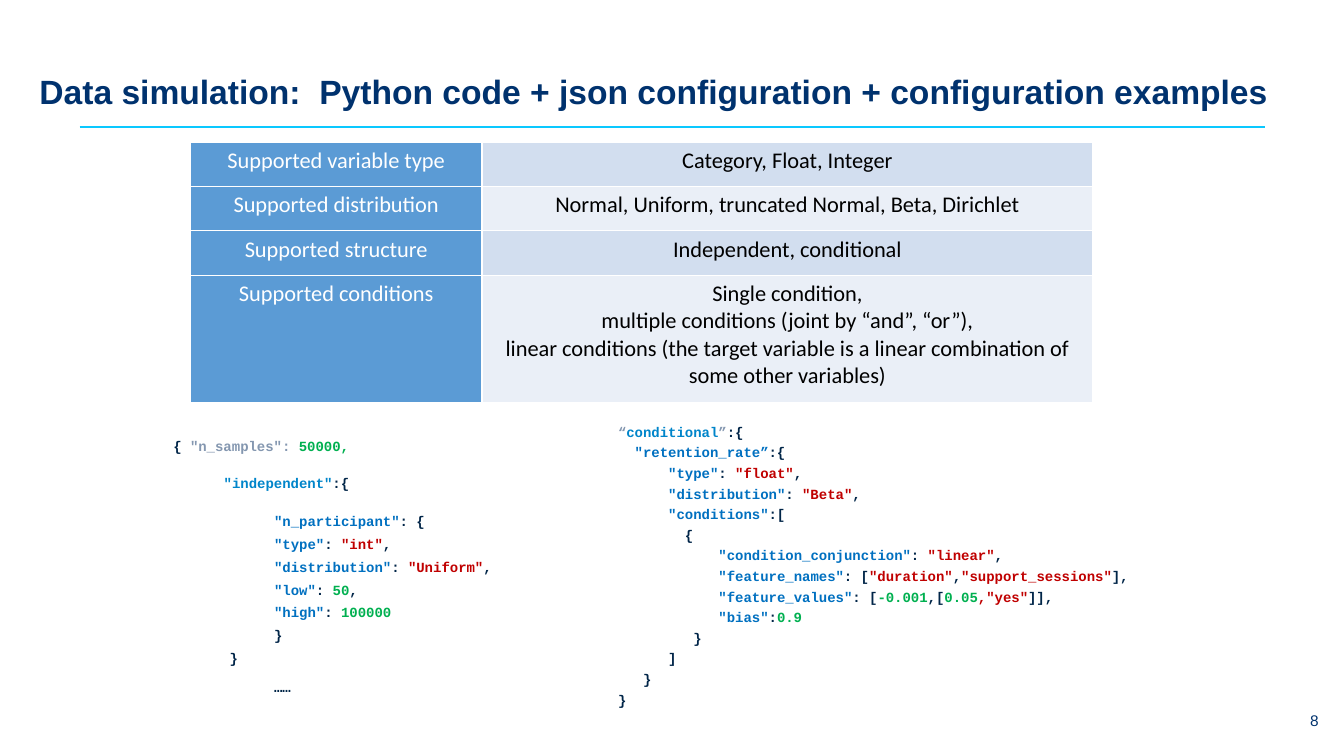
from lxml.etree import SubElement
from pptx import Presentation
from pptx.dml.color import RGBColor
from pptx.enum.shapes import MSO_CONNECTOR as Connector
from pptx.enum.text import PP_ALIGN as Align
from pptx.oxml.ns import qn
from pptx.util import Inches, Pt

NAVY, INK, WHITE, BLACK = "00326E", "002548", "FFFFFF", "000000"
KEY, SECTION, MUTED, STRING, NUMBER = "0070C0", "0085CA", "8497B0", "C00000", "00B050"
HEADER_FILL, BANDS = "5B9BD5", ("D2DEEF", "EAEFF7")

TITLE = "Data simulation:  Python code + json configuration + configuration examples"

SUPPORT_ROWS = [
    ("Supported variable type", ["Category, Float, Integer"]),
    ("Supported distribution", ["Normal, Uniform, truncated Normal, Beta, Dirichlet"]),
    ("Supported structure", ["Independent, conditional"]),
    ("Supported conditions", [
        "Single condition,",
        "multiple conditions (joint by “and”, “or”),",
        "linear conditions (the target variable is a linear combination of "
        "some other variables)",
    ]),
]


def entry(name, value, colour, end=","):
    """Return the coloured runs of one key and value pair."""
    runs = [(f'"{name}"', KEY), (": ", INK), (value, colour)]
    return runs + [(end, INK)] if end else runs


INDEPENDENT_CODE = [
    (0, 0, [("{ ", INK), ('"n_samples": ', MUTED), ("50000,", NUMBER)]),
    (0.5, 16, [('"independent"', SECTION), (":{", INK)]),
    (1, 16, [('"n_participant"', KEY), (": {", INK)]),
    (1, 5.5, entry("type", '"int"', STRING)),
    (1, 5.5, entry("distribution", '"Uniform"', STRING)),
    (1, 5.5, entry("low", "50", NUMBER)),
    (1, 5.5, entry("high", "100000", NUMBER, "")),
    (1, 5.5, [("}", INK)]),
    (0.56, 5.5, [("}", INK)]),
    (1, 10, [("……", INK)]),
]

CONDITIONAL_CODE = [
    (0, [("“", MUTED), ("conditional", SECTION), ("”", MUTED), (":{", INK)]),
    (2, [('"retention_rate”', KEY), (":{", INK)]),
    (6, entry("type", '"float"', STRING)),
    (6, entry("distribution", '"Beta"', STRING)),
    (6, [('"conditions"', KEY), (":[", INK)]),
    (8, [("{", INK)]),
    (12, entry("condition_conjunction", '"linear"', STRING)),
    (12, [('"feature_names"', KEY), (": [", INK), ('"duration"', STRING), (",", INK),
          ('"support_sessions"', STRING), ("],", INK)]),
    (12, [('"feature_values"', KEY), (": [", INK), ("-0.001", NUMBER), (",[", INK),
          ("0.05", NUMBER), (',"yes"', STRING), ("]],", INK)]),
    (12, [('"bias"', KEY), (":", INK), ("0.9", NUMBER)]),
    (9, [("}", INK)]),
    (6, [("]", INK)]),
    (3, [("}", INK)]),
    (0, [("}", INK)]),
]


def rgb(colour):
    """Turn a hex string into a colour."""
    return RGBColor.from_string(colour)


def apply_format(target, values):
    """Set every attribute named in a dict of format values."""
    for name, value in values.items():
        setattr(target, name, value)


def add_run(paragraph, text, colour, **font):
    """Append one formatted run to a paragraph."""
    run = paragraph.add_run()
    run.text = text
    apply_format(run.font, font)
    run.font.color.rgb = rgb(colour)


def next_paragraph(frame, index):
    """Return the first paragraph of a frame, or a new one after it."""
    return frame.add_paragraph() if index else frame.paragraphs[0]


def add_frame(slide, left, top, width, height, side=0, edge=0):
    """Add a wrapping text box with the given insets and return its frame."""
    box = slide.shapes.add_textbox(Inches(left), Inches(top), Inches(width), Inches(height))
    apply_format(box.text_frame, {
        "word_wrap": True,
        "margin_left": Inches(side), "margin_right": Inches(side),
        "margin_top": Inches(edge), "margin_bottom": Inches(edge),
    })
    return box.text_frame


def add_label(slide, text, place, size, bold=False, **layout):
    """Add one line of navy Arial text."""
    paragraph = add_frame(slide, *place).paragraphs[0]
    apply_format(paragraph, layout)
    add_run(paragraph, text, NAVY, name="Arial", size=Pt(size), bold=bold)


def add_code(frame, lines, line_spacing):
    """Fill a frame with lines of (left indent, space before, coloured runs)."""
    for index, (indent, before, runs) in enumerate(lines):
        paragraph = next_paragraph(frame, index)
        apply_format(paragraph, {"line_spacing": line_spacing, "space_before": Pt(before)})
        if indent:
            properties = paragraph._p.get_or_add_pPr()
            properties.set("marL", str(Inches(indent)))
            properties.set("indent", "0")
        for text, colour in runs:
            add_run(paragraph, text, colour, name="Courier New", size=Pt(10), bold=True)


def add_rule(slide, left, right, top):
    """Add the thin line below the title."""
    rule = slide.shapes.add_connector(
        Connector.STRAIGHT, Inches(left), Inches(top), Inches(right), Inches(top))
    rule.line.color.rgb = rgb("0AC8FF")
    rule.line.width = Pt(1)
    SubElement(rule._element.spPr, qn("a:effectLst"))


def fill_cell(cell, lines, colour, fill):
    """Write centred lines into a cell with a fill and white borders."""
    for index, line in enumerate(lines):
        paragraph = next_paragraph(cell.text_frame, index)
        paragraph.alignment = Align.CENTER
        add_run(paragraph, line, colour, name="Calibri", size=Pt(16), bold=False)
    properties = cell._tc.get_or_add_tcPr()
    for side in ("lnL", "lnR", "lnT", "lnB"):
        border = SubElement(properties, qn(f"a:{side}"), w=str(Pt(1)))
        SubElement(SubElement(border, qn("a:solidFill")), qn("a:srgbClr"), val=WHITE)
    cell.fill.solid()
    cell.fill.fore_color.rgb = rgb(fill)


def add_support_table(slide):
    """Add the table of supported features."""
    table = slide.shapes.add_table(
        len(SUPPORT_ROWS), 2, Inches(1.89), Inches(1.41), Inches(8.95), Inches(2.59)).table
    for column, width in zip(table.columns, (2.89, 6.06)):
        column.width = Inches(width)
    for row, height in zip(table.rows, (0.44, 0.44, 0.44, 1.27)):
        row.height = Inches(height)
    for index, (heading, lines) in enumerate(SUPPORT_ROWS):
        fill_cell(table.cell(index, 0), [heading], WHITE, HEADER_FILL)
        fill_cell(table.cell(index, 1), lines, BLACK, BANDS[index % 2])


def main():
    """Build the slide and save it."""
    presentation = Presentation()
    presentation.slide_width = Inches(13.33)
    presentation.slide_height = Inches(7.5)
    slide = presentation.slides.add_slide(presentation.slide_layouts[6])

    add_rule(slide, 0.79, 12.55, 1.26)
    add_label(slide, TITLE, (0.39, 0.75, 12.45, 0.49), 24, bold=True, line_spacing=0.9)
    add_label(slide, "8", (10.08, 7.06, 3, 0.4), 11, alignment=Align.RIGHT)
    add_support_table(slide)
    add_code(add_frame(slide, 1.62, 4.31, 4.32, 2.86, 0.1, 0.05), INDEPENDENT_CODE, 0.9)
    conditional_lines = [
        (0, 2.7 if index else 0, [(" " * spaces + runs[0][0], runs[0][1])] + runs[1:])
        for index, (spaces, runs) in enumerate(CONDITIONAL_CODE)
    ]
    add_code(add_frame(slide, 6.13, 4.2, 5.26, 2.86), conditional_lines, 1.0)
    presentation.save("out.pptx")


if __name__ == "__main__":
    main()
